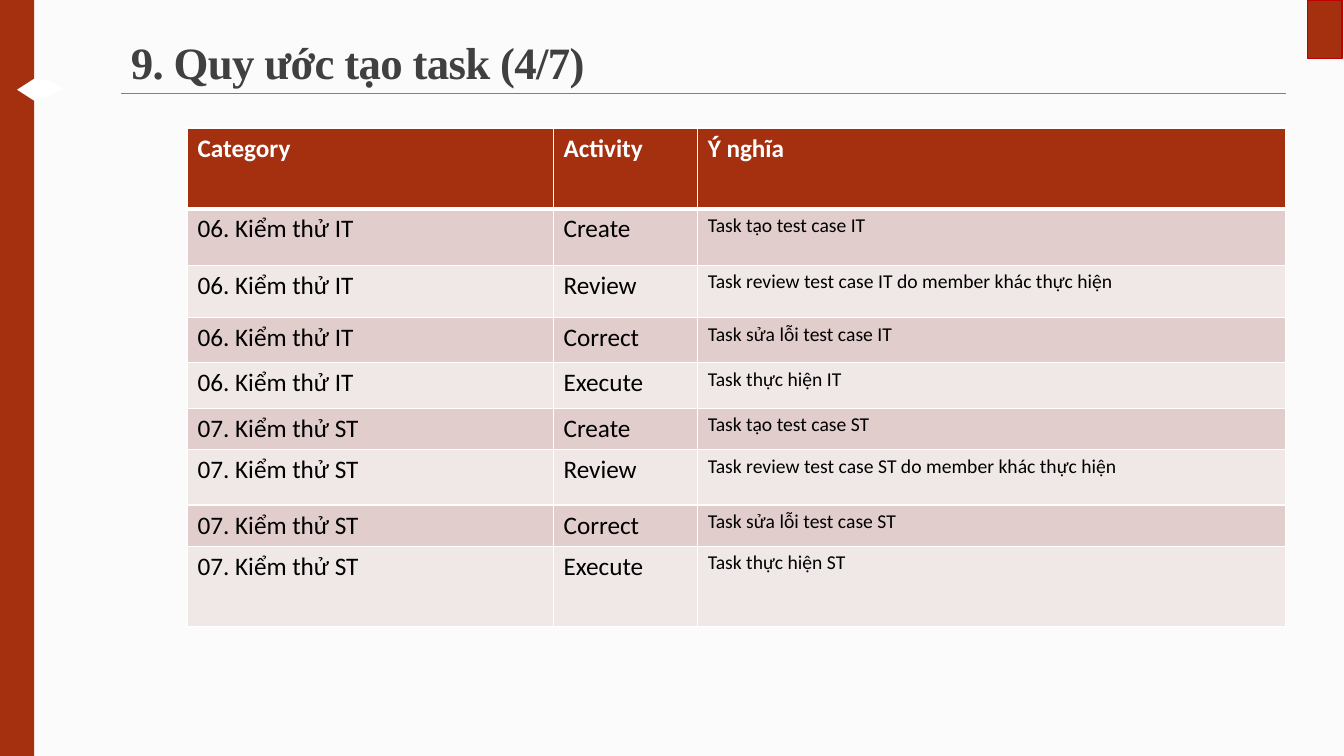
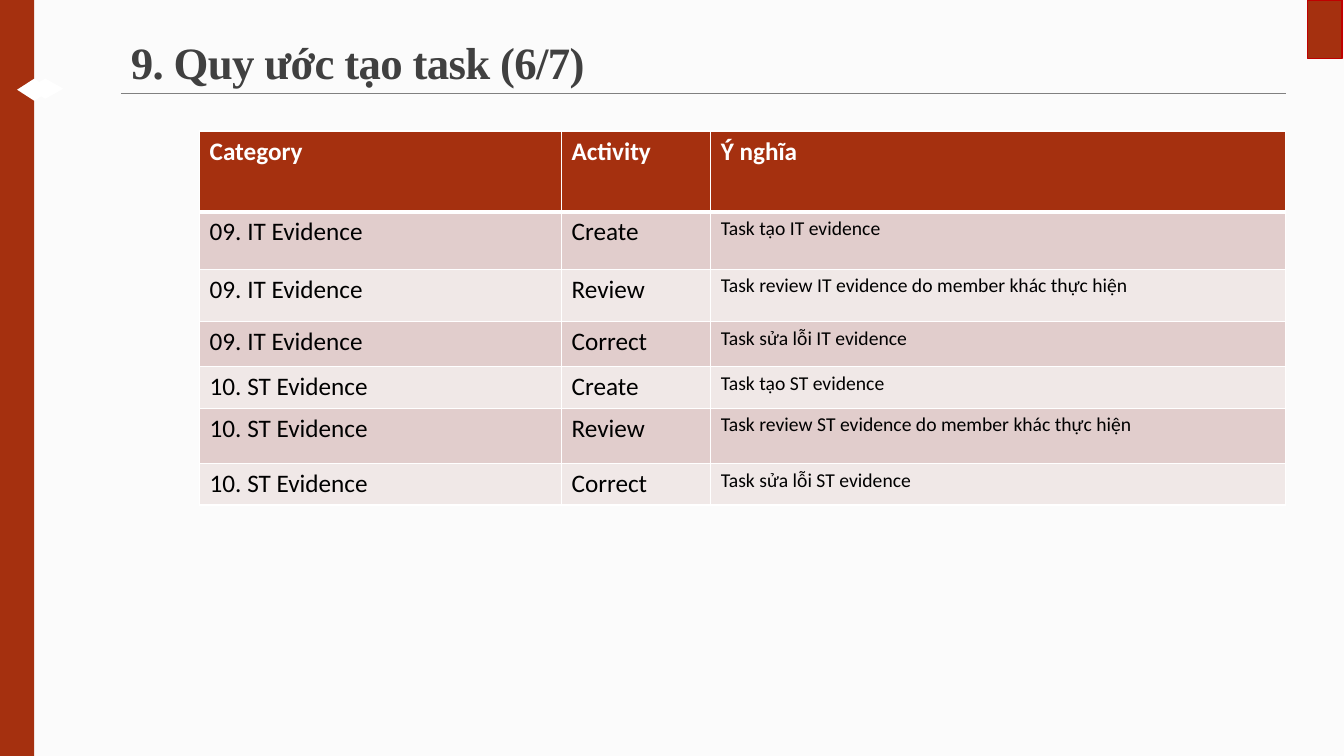
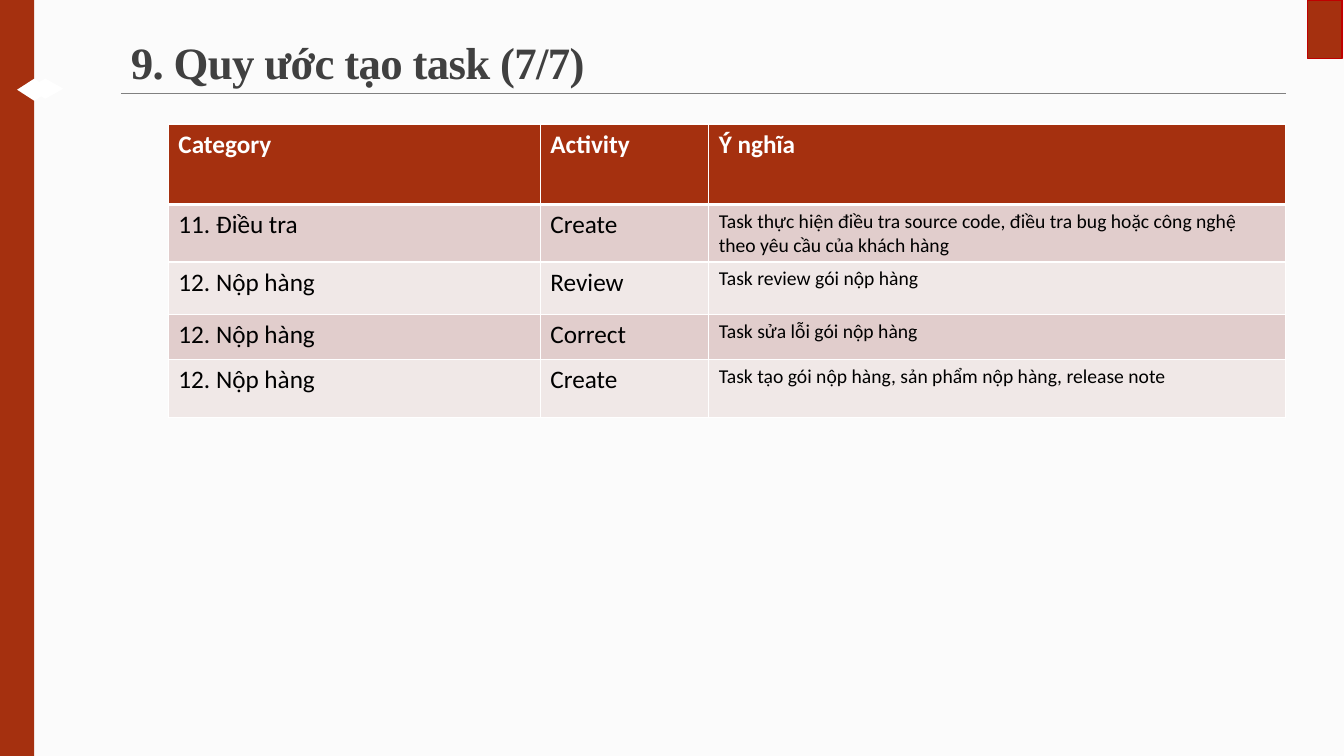
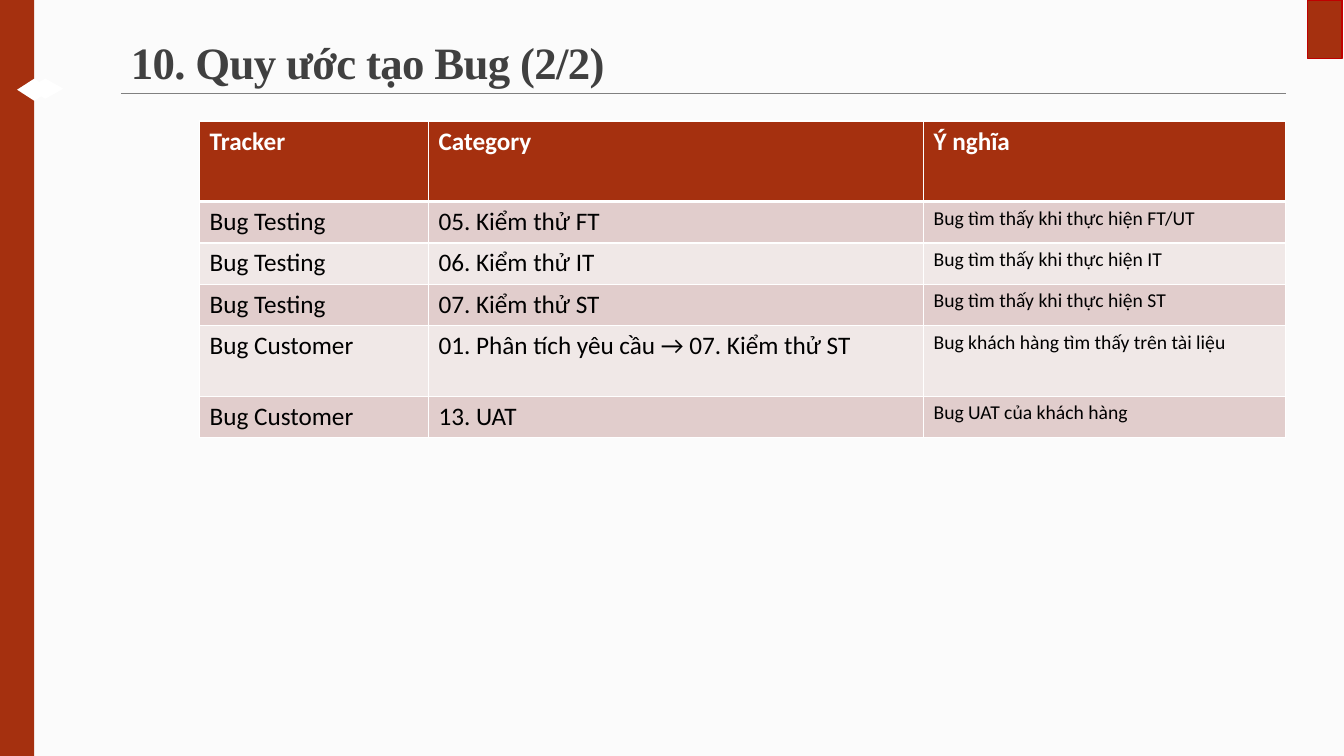
from dataclasses import dataclass

from lxml import etree
from pptx import Presentation
from pptx.dml.color import RGBColor
from pptx.enum.shapes import MSO_CONNECTOR, MSO_SHAPE
from pptx.enum.text import MSO_ANCHOR
from pptx.oxml.ns import qn
from pptx.util import Emu, Pt

RECT, DIAMOND = MSO_SHAPE.RECTANGLE, MSO_SHAPE.DIAMOND
STRAIGHT = MSO_CONNECTOR.STRAIGHT
BOTTOM = MSO_ANCHOR.BOTTOM
BLANK_LAYOUT = 6
PX = 9144  # 100 px to the inch
WIDTH, HEIGHT = 1333, 750


@dataclass(frozen=True)
class Theme:
    background: str = "FBFBFB"
    accent: str = "A5300F"
    tab_line: str = "C00000"
    rule: str = "808080"
    title: str = "404040"
    white: str = "FFFFFF"
    body: str = "000000"
    bands: tuple = ("E1CDCC", "F0E8E7")
    title_font: str = "Times New Roman"
    table_font: str = "Calibri"
    title_size: int = 32
    cell_size: int = 18
    meaning_size: int = 14


def rgb(color):
    return RGBColor.from_string(color)


def px(*lengths):
    return [Emu(n * PX) for n in lengths]


class Deck:
    def __init__(self, theme):
        self.theme = theme
        self.prs = Presentation()
        self.prs.slide_width, self.prs.slide_height = px(WIDTH, HEIGHT)
        self.s = None

    def slide(self, title):
        """Start a slide with the shared decoration and its title."""
        t = self.theme
        self.s = self.prs.slides.add_slide(self.prs.slide_layouts[BLANK_LAYOUT])
        self.s.background.fill.solid()
        self.s.background.fill.fore_color.rgb = rgb(t.background)
        self.shape(RECT, 1297, 0, 34, 58, t.accent, t.tab_line)
        self.shape(DIAMOND, 27, 78, 36, 20, t.white)
        self.shape(RECT, 0, 0, 34, HEIGHT, t.accent)
        self.line(120, 93, 1275, 93, t.rule, 0.5)
        self.shape(DIAMOND, 17, 78, 34, 22, t.white)
        self.title(title)

    def shape(self, kind, x, y, w, h, fill, line=None):
        sp = self.s.shapes.add_shape(kind, *px(x, y, w, h))
        sp.shadow.inherit = False
        sp.fill.solid()
        sp.fill.fore_color.rgb = rgb(fill)
        if line:
            sp.line.color.rgb = rgb(line)
            sp.line.width = Pt(1)
        else:
            sp.line.fill.background()

    def line(self, x1, y1, x2, y2, color, width):
        cxn = self.s.shapes.add_connector(STRAIGHT, *px(x1, y1, x2, y2))
        cxn.line.color.rgb = rgb(color)
        cxn.line.width = Pt(width)
        etree.SubElement(cxn._element.spPr, qn("a:effectLst"))

    def font(self, p, name, size, color, bold):
        for r in p.runs:
            r.font.name, r.font.size, r.font.bold = name, Pt(size), bold
            r.font.color.rgb = rgb(color)

    def title(self, text):
        t = self.theme
        tf = self.s.shapes.add_textbox(*px(120, 31, 1155, 62)).text_frame
        tf.word_wrap = True
        tf.vertical_anchor = BOTTOM
        tf.text = text
        p = tf.paragraphs[0]
        p.line_spacing = 0.85
        self.font(p, t.title_font, t.title_size, t.title, True)
        p.runs[0]._r.get_or_add_rPr().set("spc", "-50")

    def borders(self, cell, top, bottom):
        tc_pr = cell._tc.get_or_add_tcPr()
        for side, width in (("L", 1), ("R", 1), ("T", top), ("B", bottom)):
            ln = etree.SubElement(tc_pr, qn(f"a:ln{side}"), w=str(Pt(width)))
            fill = etree.SubElement(ln, qn("a:solidFill"))
            etree.SubElement(fill, qn("a:srgbClr"), val=self.theme.white)

    def cell(self, cell, text, row, col):
        """Fill one cell: row 0 is the header, the last column is smaller."""
        t = self.theme
        header = row == 0
        self.borders(cell, 3 if row == 1 else 1, 3 if header else 1)
        cell.fill.solid()
        cell.fill.fore_color.rgb = rgb(t.accent if header else t.bands[(row - 1) % 2])
        cell.text_frame.text = text
        size = t.meaning_size if col == 2 and not header else t.cell_size
        color = t.white if header else t.body
        self.font(cell.text_frame.paragraphs[0], t.table_font, size, color, header)

    def table(self, x, y, widths, heights, rows):
        frame = self.s.shapes.add_table(
            len(rows), len(widths), *px(x, y, sum(widths), sum(heights)))
        table = frame.table
        for column, width in zip(table.columns, px(*widths)):
            column.width = width
        for line, height in zip(table.rows, px(*heights)):
            line.height = height
        for i, texts in enumerate(rows):
            for j, text in enumerate(texts):
                self.cell(table.cell(i, j), text, i, j)


TASK_HEADER = ("Category", "Activity", "Ý nghĩa")
BUG_HEADER = ("Tracker", "Category", "Ý nghĩa")


def steps(category, subject, execute=None):
    """Create, review and correct rows of a category, then an execute row."""
    rows = [
        (category, "Create", f"Task tạo {subject}"),
        (category, "Review", f"Task review {subject} do member khác thực hiện"),
        (category, "Correct", f"Task sửa lỗi {subject}"),
    ]
    if execute:
        rows.append((category, "Execute", f"Task thực hiện {execute}"))
    return rows


def main():
    deck = Deck(Theme())

    # Testing tasks
    deck.slide("9. Quy ước tạo task (4/7)")
    deck.table(186, 127, (363, 143, 583), (80, 56, 52, 45, 45, 41, 55, 41, 80), [
        TASK_HEADER,
        *steps("06. Kiểm thử IT", "test case IT", "IT"),
        *steps("07. Kiểm thử ST", "test case ST", "ST"),
    ])

    # Evidence tasks
    deck.slide("9. Quy ước tạo task (6/7)")
    deck.table(198, 130, (359, 148, 570), (80, 57, 52, 45, 41, 55, 41), [
        TASK_HEADER,
        *steps("09. IT Evidence", "IT evidence"),
        *steps("10. ST Evidence", "ST evidence"),
    ])

    # Investigation and delivery tasks
    deck.slide("9. Quy ước tạo task (7/7)")
    deck.table(167, 123, (369, 167, 572), (80, 57, 52, 45, 57), [
        TASK_HEADER,
        ("11. Điều tra", "Create", "Task thực hiện điều tra source code, điều tra bug "
                                   "hoặc công nghệ theo yêu cầu của khách hàng"),
        ("12. Nộp hàng", "Review", "Task review gói nộp hàng"),
        ("12. Nộp hàng", "Correct", "Task sửa lỗi gói nộp hàng"),
        ("12. Nộp hàng", "Create", "Task tạo gói nộp hàng, sản phẩm nộp hàng, release note"),
    ])

    # Bug trackers
    deck.slide("10. Quy ước tạo Bug (2/2)")
    deck.table(198, 120, (227, 491, 359), (80, 41, 41, 41, 70, 41), [
        BUG_HEADER,
        ("Bug Testing", "05. Kiểm thử FT", "Bug tìm thấy khi thực hiện FT/UT"),
        ("Bug Testing", "06. Kiểm thử IT", "Bug tìm thấy khi thực hiện IT"),
        ("Bug Testing", "07. Kiểm thử ST", "Bug tìm thấy khi thực hiện ST"),
        ("Bug Customer", "01. Phân tích yêu cầu → 07. Kiểm thử ST",
         "Bug khách hàng tìm thấy trên tài liệu"),
        ("Bug Customer", "13. UAT", "Bug UAT của khách hàng"),
    ])

    deck.prs.save("out.pptx")


if __name__ == "__main__":
    main()
